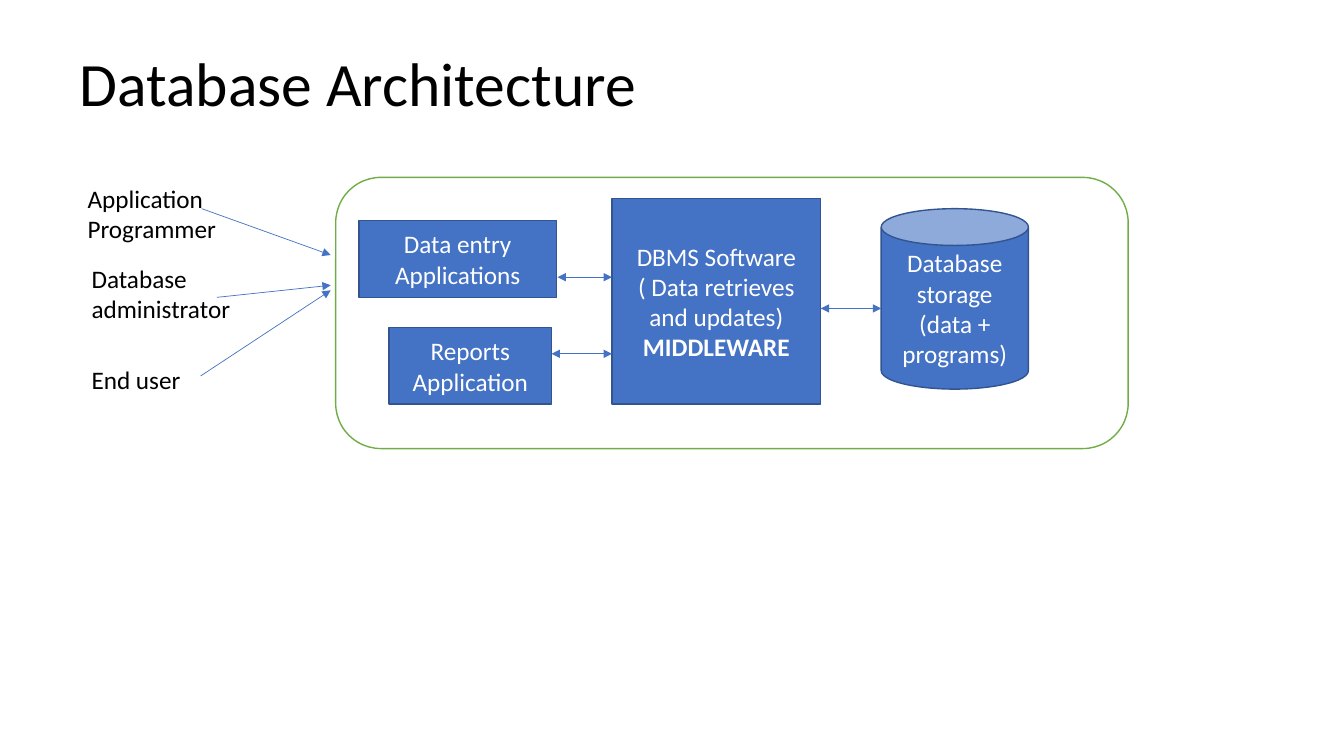
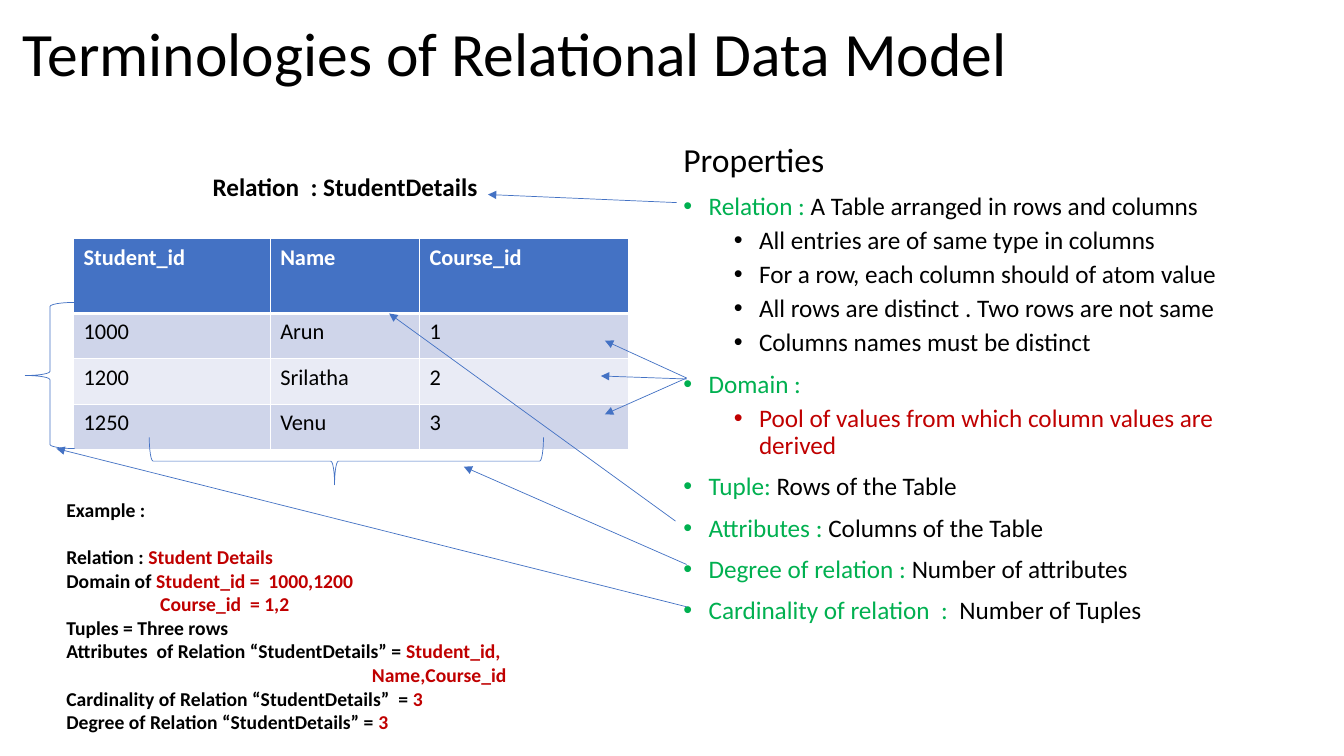
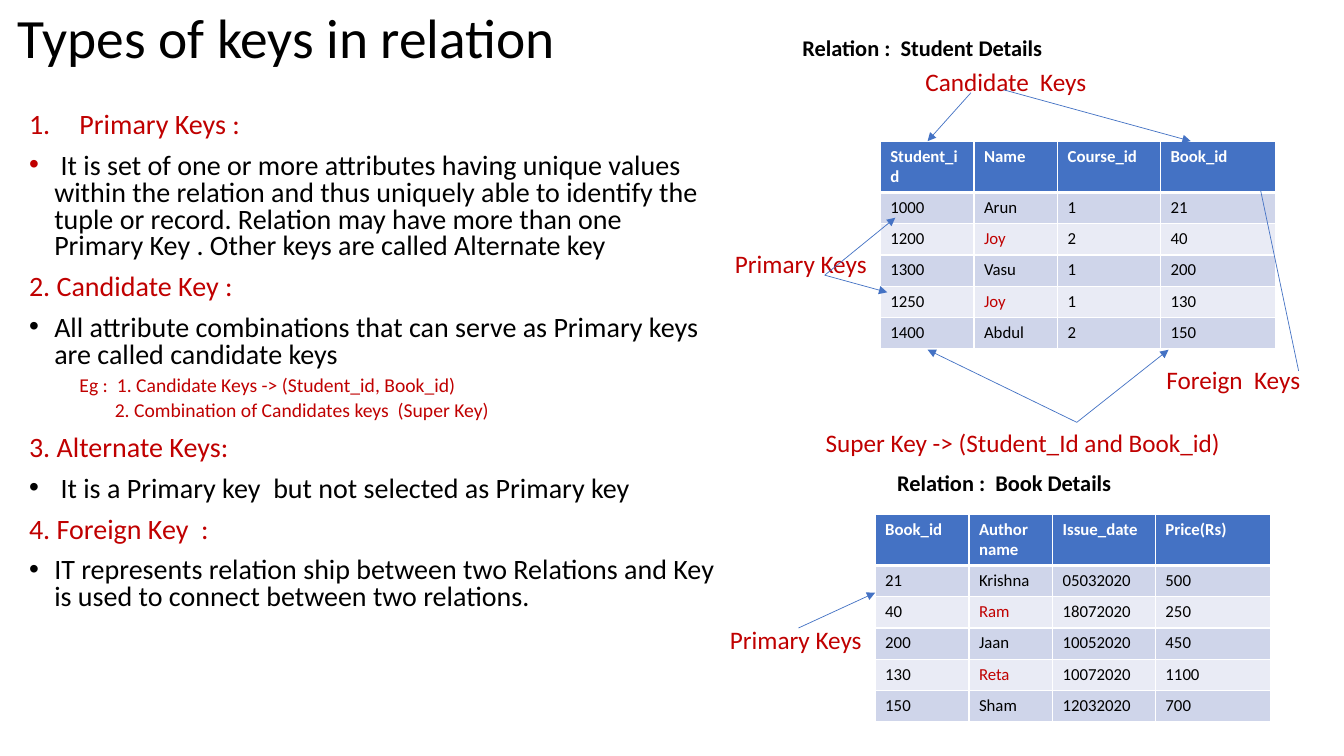
from dataclasses import dataclass

import pptx
import pptx.dml.color
import pptx.enum.shapes
import pptx.enum.text
import pptx.oxml
import pptx.oxml.ns
import pptx.util

MSO = pptx.enum.shapes.MSO_SHAPE
ALIGN = pptx.enum.text.PP_ALIGN
ANCHOR = pptx.enum.text.MSO_ANCHOR
AUTO = pptx.enum.text.MSO_AUTO_SIZE
SCALE = 9144


@dataclass(frozen=True)
class Theme:
    font: str = "Calibri"
    black: str = "000000"
    white: str = "FFFFFF"
    blue: str = "4472C4"
    edge: str = "325491"
    leaf: str = "70AD47"
    green: str = "00B050"
    red: str = "C00000"
    bands: tuple = ("CFD5EA", "E9EBF5")
    title: float = 44
    title_small: float = 39.6
    heading: float = 24
    body: float = 20
    label: float = 18
    cell: float = 16
    small: float = 14
    cell_small: float = 12


T = Theme()


def px(n):
    return pptx.util.Emu(round(n * SCALE))


def rgb(value):
    return pptx.dml.color.RGBColor.from_string(value)


def apply(obj, values):
    for name, value in values.items():
        setattr(obj, name, value)


def add_xml(parent, tag, **attrs):
    el = pptx.oxml.parse_xml(f"<a:{tag} {pptx.oxml.ns.nsdecls('a')}/>")
    for name, value in attrs.items():
        el.set(name, str(value))
    parent.append(el)
    return el


def para(*runs, indent=0, hang=0, bullet=None, **fmt):
    return dict(runs=runs, indent=indent, hang=hang, bullet=bullet, fmt=fmt)


def point(*runs, before=10, indent=25, **kw):
    return para(*runs, indent=indent, hang=-25, bullet="•",
                space_before=pptx.util.Pt(before), **kw)


def subpoint(*runs):
    return point(*runs, before=5, indent=75)


class Deck:
    def __init__(self, width, height):
        self.prs = pptx.Presentation()
        apply(self.prs, dict(slide_width=px(width), slide_height=px(height)))
        self.s = None

    def slide(self, title, box, size=T.title):
        self.s = self.prs.slides.add_slide(self.prs.slide_layouts[6])
        self.text(box, [para(title)], size, anchor=ANCHOR.MIDDLE, spacing=0.9)

    def fill_text(self, tf, paras, size, color=T.black, bold=False, spacing=None, align=None):
        for i, item in enumerate(paras):
            p = tf.paragraphs[0] if i == 0 else tf.add_paragraph()
            pPr = p._p.get_or_add_pPr()
            if item["indent"]:
                pPr.set("marL", str(px(item["indent"])))
                pPr.set("indent", str(px(item["hang"])))
            if item["bullet"] == "1.":
                add_xml(pPr, "buAutoNum", type="arabicPeriod")
            elif item["bullet"]:
                add_xml(pPr, "buFont", typeface="Arial")
                add_xml(pPr, "buChar", char=item["bullet"])
            apply(p, dict(line_spacing=spacing, alignment=align) | item["fmt"])
            for run in item["runs"]:
                words, run_fmt = (run, {}) if isinstance(run, str) else run
                fmt = dict(size=size, color=color, bold=bold) | run_fmt
                r = p.add_run()
                r.text = words
                r.font.color.rgb = rgb(fmt["color"])
                apply(r.font, dict(name=T.font, size=pptx.util.Pt(fmt["size"]), bold=fmt["bold"]))

    def text(self, box, paras, size, anchor=ANCHOR.TOP, wrap=True, auto=AUTO.NONE, **style):
        tf = self.s.shapes.add_textbox(*map(px, box)).text_frame
        apply(tf, dict(word_wrap=wrap, auto_size=auto, vertical_anchor=anchor))
        self.fill_text(tf, paras, size, **style)

    def label(self, box, words, size=T.label, wrap=False, **style):
        self.text(box, [para(words)], size, wrap=wrap, auto=AUTO.SHAPE_TO_FIT_TEXT, **style)

    def shape(self, kind, box, line, width=1, fill=None, paras=(), rotation=0, adjust=()):
        sp = self.s.shapes.add_shape(kind, *map(px, box))
        sp.shadow.inherit = False
        sp.rotation = rotation
        for i, value in enumerate(adjust):
            sp.adjustments[i] = value
        if fill:
            sp.fill.solid()
            sp.fill.fore_color.rgb = rgb(fill)
        else:
            sp.fill.background()
        sp.line.color.rgb = rgb(line)
        sp.line.width = pptx.util.Pt(width)
        apply(sp.text_frame, dict(word_wrap=True, vertical_anchor=ANCHOR.MIDDLE))
        self.fill_text(sp.text_frame, paras, T.label, T.white, align=ALIGN.CENTER)

    def block(self, kind, box, *paras):
        self.shape(kind, box, T.edge, fill=T.blue, paras=paras)

    def brace(self, box, rotation, adjust=()):
        self.shape(MSO.RIGHT_BRACE, box, T.blue, 0.5, rotation=rotation, adjust=adjust)

    def arrow(self, x1, y1, x2, y2, both=False):
        line = self.s.shapes.add_connector(
            pptx.enum.shapes.MSO_CONNECTOR.STRAIGHT, *map(px, (x1, y1, x2, y2)))
        line.line.color.rgb = rgb(T.blue)
        line.line.width = pptx.util.Pt(0.5)
        ln = line.line._get_or_add_ln()
        for tag in ("headEnd", "tailEnd") if both else ("tailEnd",):
            add_xml(ln, tag, type="triangle")
        add_xml(line._element.spPr, "effectLst")

    def table(self, left, top, widths, heights, rows, size, red=()):
        box = (left, top, sum(widths), sum(heights))
        tbl = self.s.shapes.add_table(len(rows), len(widths), *map(px, box)).table
        apply(tbl, dict(first_row=False, horz_banding=False))
        for col, width in zip(tbl.columns, widths):
            col.width = px(width)
        for i, (row, height) in enumerate(zip(rows, heights)):
            tbl.rows[i].height = px(height)
            for j, words in enumerate(row):
                self.cell(tbl.cell(i, j), i, words, size, words in red)

    def cell(self, cell, row, words, size, is_red):
        head = row == 0
        tcPr = cell._tc.get_or_add_tcPr()
        for side in "LRTB":
            thick = (head and side == "B") or (row == 1 and side == "T")
            ln = add_xml(tcPr, "ln" + side, w=pptx.util.Pt(3 if thick else 1))
            add_xml(add_xml(ln, "solidFill"), "srgbClr", val=T.white)
        cell.fill.solid()
        cell.fill.fore_color.rgb = rgb(T.blue if head else T.bands[(row - 1) % 2])
        color = T.white if head else T.red if is_red else T.black
        self.fill_text(cell.text_frame, [para(words)], size, color, head)


def red(words, **fmt):
    return words, dict(color=T.red, **fmt)


def green(words):
    return words, dict(color=T.green)


def architecture(deck):
    deck.slide("Database Architecture", (69, 13, 1150, 145))
    deck.shape(MSO.ROUNDED_RECTANGLE, (333, 176, 786, 269), T.leaf, fill=T.white)
    deck.block(MSO.RECTANGLE, (356, 219, 196, 76), para("Data entry Applications"))
    deck.block(MSO.RECTANGLE, (386, 325, 161, 76), para("Reports Application"))
    deck.block(MSO.CAN, (874, 207, 146, 179), para("Database storage (data + programs)"))
    deck.block(MSO.RECTANGLE, (607, 197, 207, 204),
               para("DBMS Software ( Data retrieves and updates)"),
               para(("MIDDLEWARE", dict(bold=True))))
    for x1, x2, y in ((553, 607, 275), (547, 607, 351), (814, 874, 306)):
        deck.arrow(x1, y, x2, y, both=True)
    for left, top, height, words in ((77, 177, 71, "Application Programmer"),
                                     (81, 256, 71, "Database administrator"),
                                     (81, 357, 40, "End user")):
        deck.label((left, top, 236, height), words, wrap=True)
    for x, y, end in ((200, 207, 253), (215, 295, 283), (199, 373, 288)):
        deck.arrow(x, y, 328, end)


def terminology(deck):
    deck.slide("Terminologies of Relational Data Model", (13, 16, 1150, 80))
    deck.table(73, 237, (195, 148, 207), (74, 45, 45, 45), (
        ("Student_id", "Name", "Course_id"),
        ("1000", "Arun", "1"),
        ("1200", "Srilatha", "2"),
        ("1250", "Venu", "3")), T.cell)
    deck.label((201, 165, 285, 40), "Relation  : StudentDetails", bold=True)
    deck.text((56, 489, 549, 269), [
        para("Example :"),
        para("Relation : ", red("Student Details"), space_before=pptx.util.Pt(17)),
        para("Domain of ", red("Student_id =  1000,1200")),
        para(red("Course_id  = 1,2"), indent=93),
        para("Tuples = Three rows"),
        para("Attributes  of Relation “StudentDetails” = ", red("Student_id,")),
        para(red("Name,Course_id"), indent=303),
        para("Cardinality of Relation “StudentDetails”  = ", red("3")),
        para("Degree of Relation “StudentDetails” = ", red("3")),
    ], T.small, bold=True)
    deck.text((668, 137, 577, 504), [
        para(("Properties", dict(size=T.heading))),
        point(green("Relation : "), "A Table arranged in rows and columns"),
        subpoint("All entries are of same type in columns"),
        subpoint("For a row, each column should of atom value"),
        subpoint("All rows are distinct . Two rows are not same"),
        subpoint("Columns names must be distinct"),
        point(green("Domain :")),
        subpoint(red("Pool of values from which column values are derived")),
        point(green("Tuple: "), "Rows of the Table"),
        point(green("Attributes : "), "Columns of the Table"),
        point(green("Degree of relation : "), "Number of attributes"),
        point(green("Cardinality of relation  :  "), "Number of Tuples"),
    ], T.label, spacing=0.9)
    deck.brace((25, 300, 49, 145), 180)
    deck.brace((320, 262, 47, 391), 90, (0.08, 0.53))
    for ends in ((681, 375, 600, 338), (681, 376, 596, 373), (681, 375, 600, 411),
                 (671, 201, 484, 193), (670, 517, 386, 311),
                 (681, 560, 460, 463), (681, 602, 56, 445)):
        deck.arrow(*ends)


def keys(deck):
    deck.slide("Types of keys in relation", (8, 12, 1150, 56), T.title_small)
    gap, small_gap = pptx.util.Pt(10), pptx.util.Pt(5)
    deck.text((19, 107, 700, 536), [
        para(red("Primary Keys :"), indent=50, hang=-50, bullet="1."),
        point(red(" "), "It is set of one or more attributes having unique values within the "
              "relation and thus uniquely able to identify the tuple or record. Relation may "
              "have more than one Primary Key . Other keys are called Alternate key"),
        para(red("2. Candidate Key :"), space_before=gap),
        point("All attribute combinations that can serve as Primary keys "
              "are called candidate keys"),
        para(red("Eg :  1. Candidate Keys -> (Student_id, Book_id)", size=T.small),
             indent=50, space_before=small_gap),
        para(red("2. Combination of Candidates keys  (Super Key)", size=T.small),
             indent=85, space_before=small_gap),
        para(red("3. Alternate Keys:"), space_before=gap),
        point(" It is a Primary key  but not selected as Primary key"),
        para(red("4. Foreign Key  :"), space_before=gap),
        point("IT represents relation ship between two Relations and "
              "Key is used to connect between two relations."),
    ], T.body, spacing=0.8)
    widths, heights = (93, 83, 102, 114), (51,) + (31,) * 5
    deck.table(873, 140, widths, heights, (
        ("Student_id", "Name", "Course_id", "Book_id"),
        ("1000", "Arun", "1", "21"),
        ("1200", "Joy", "2", "40"),
        ("1300", "Vasu", "1", "200"),
        ("1250", "Joy", "1", "130"),
        ("1400", "Abdul", "2", "150")), T.cell_small, red=("Joy",))
    deck.table(868, 510, widths, heights, (
        ("Book_id", "Author name", "Issue_date", "Price(Rs)"),
        ("21", "Krishna", "05032020", "500"),
        ("40", "Ram", "18072020", "250"),
        ("200", "Jaan", "10052020", "450"),
        ("130", "Reta", "10072020", "1100"),
        ("150", "Sham", "12032020", "700")), T.cell_small, red=("Ram", "Reta"))
    for box, words in (((786, 29, 269, 37), "Relation :  Student Details"),
                       ((880, 461, 380, 37), "Relation :  Book Details")):
        deck.label(box, words, T.cell, wrap=True, bold=True)
    for left, top, width, words in ((719, 241, 158, "Primary Keys"),
                                    (908, 61, 188, "Candidate  Keys"),
                                    (809, 419, 422, "Super Key -> (Student_Id and Book_id)"),
                                    (714, 614, 158, "Primary Keys"),
                                    (1147, 357, 160, "Foreign  Keys")):
        deck.label((left, top, width, 40), words, color=T.red)
    for ends in ((963, 92, 920, 140), (995, 89, 1181, 140),
                 (818, 273, 880, 290), (818, 273, 888, 216),
                 (1068, 419, 920, 347), (1068, 419, 1159, 347),
                 (792, 623, 868, 588), (1288, 368, 1247, 173)):
        deck.arrow(*ends)


def main():
    deck = Deck(1333, 750)
    for build in (architecture, terminology, keys):
        build(deck)
    deck.prs.save("out.pptx")


if __name__ == "__main__":
    main()
